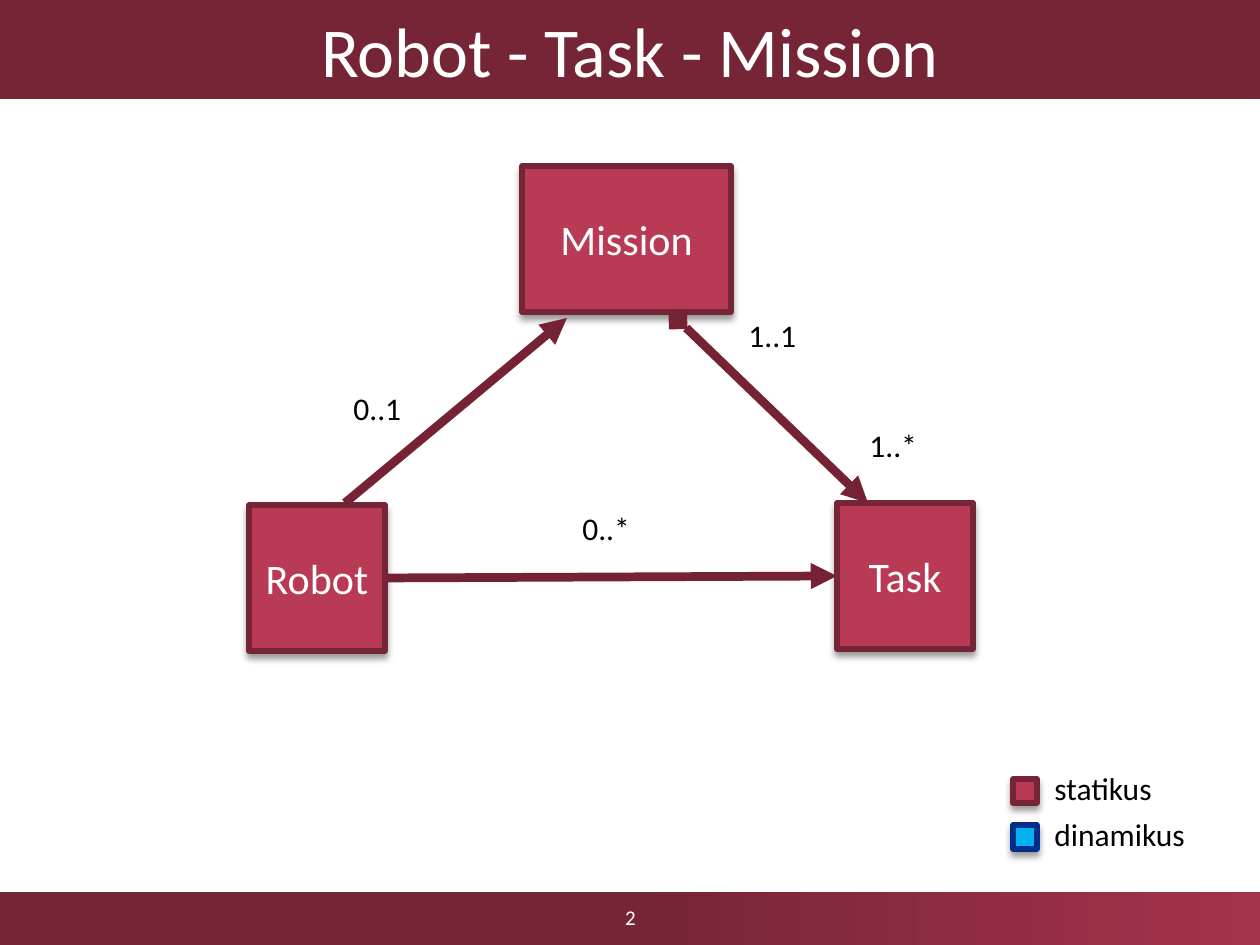
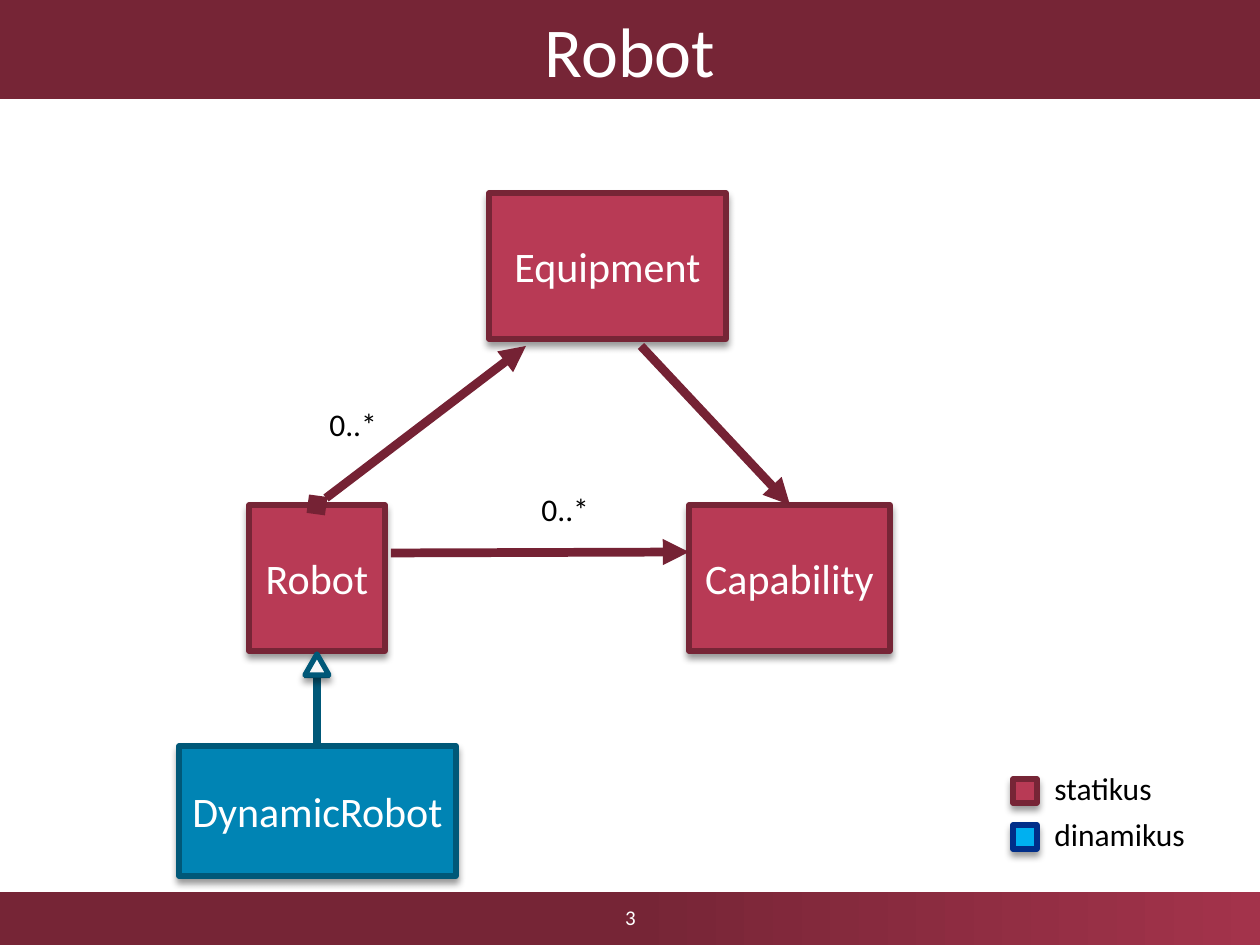
from lxml.etree import SubElement
from pptx import Presentation
from pptx.dml.color import RGBColor
from pptx.enum.shapes import MSO_CONNECTOR as Connector, MSO_SHAPE as Shape
from pptx.enum.text import MSO_ANCHOR as Anchor, PP_ALIGN as Align
from pptx.oxml.ns import qn
from pptx.util import Pt

PX = 914400 // 126
WIDTH, HEIGHT = 1260, 945
FONT = "Calibri"
COLORS = {
    "band": "762536", "band_end": "A3334B", "static": "B83A55",
    "arrow": "752234", "dynamic": "0084B4", "dynamic_edge": "005878",
    "legend_blue": "00B0F0", "legend_edge": "002E89",
    "tip": "F8F8F8", "white": "FFFFFF", "black": "000000",
}
RGB = {name: RGBColor.from_string(value) for name, value in COLORS.items()}

# What each page shows: boxes and labels as text and place,
# arrows as from, to, colour and whether a diamond starts them
PAGES = [
    {
        "title": "Robot - Task - Mission", "number": "2",
        "boxes": [
            ("Robot", (249, 505, 136, 146), "static", "band"),
            ("Mission", (522, 166, 209, 146), "static", "band"),
            ("Task", (837, 503, 136, 146), "static", "band"),
        ],
        "arrows": [
            ((345, 503), (567, 318), "arrow", False),
            ((386, 578), (837, 576), "arrow", False),
            ((678, 320), (868, 503), "arrow", True),
        ],
        "tips": [],
        "labels": [("0..1", 341, 383), ("0..*", 570, 503),
                   ("1..*", 857, 420), ("1..1", 736, 310)],
    },
    {
        "title": "Robot", "number": "3",
        "boxes": [
            ("Robot", (249, 505, 136, 146), "static", "band"),
            ("Capability", (689, 505, 201, 146), "static", "band"),
            ("Equipment", (489, 193, 237, 146), "static", "band"),
            ("DynamicRobot", (179, 746, 277, 130), "dynamic", "dynamic_edge"),
        ],
        "arrows": [
            ((317, 505), (526, 346), "arrow", True),
            ((391, 553), (689, 552), "arrow", False),
            ((317, 746), (317, 652), "dynamic_edge", False),
            ((641, 346), (790, 505), "arrow", False),
        ],
        "tips": [(305, 654, 24, 21)],
        "labels": [("0..*", 317, 399), ("0..*", 529, 484)],
    },
]


def add_block(page, place, fill=None, edge=None, shape=Shape.RECTANGLE):
    """A flat block; one with an edge also casts a soft shadow."""
    block = page.shapes.add_shape(shape, *[n * PX for n in place])
    if fill:
        block.fill.solid()
        block.fill.fore_color.rgb = RGB[fill]
    else:
        block.fill.background()
    block.line.fill.background()
    block.shadow.inherit = False
    if edge:
        block.line.color.rgb = RGB[edge]
        block.line.width = Pt(3)
        effects = block._element.spPr.find(qn("a:effectLst"))
        shadow = SubElement(effects, qn("a:outerShdw"), blurRad=str(Pt(4)),
                            dist=str(Pt(3)), dir="5400000", rotWithShape="0")
        shade = SubElement(shadow, qn("a:srgbClr"), val=COLORS["black"])
        SubElement(shade, qn("a:alpha"), val="40000")
    return block


def write(box, text, size, color="white", align=Align.CENTER, wrap=True):
    frame = box.text_frame
    frame.word_wrap = wrap
    frame.vertical_anchor = Anchor.MIDDLE
    para = frame.paragraphs[0]
    para.alignment = align
    span = para.add_run()
    span.text = text
    span.font.name = FONT
    span.font.size = Pt(size)
    span.font.color.rgb = RGB[color]


deck = Presentation()
deck.slide_width, deck.slide_height = WIDTH * PX, HEIGHT * PX

for content in PAGES:
    page = deck.slides.add_slide(deck.slide_layouts[6])

    # Footer band, solid up to its middle
    footer = add_block(page, (0, 892, WIDTH, 53), "band")
    footer.fill.gradient()
    footer.fill.gradient_angle = 0
    for stop, position, color in zip(footer.fill.gradient_stops,
                                     (0.5, 1), ("band", "band_end")):
        stop.position = position
        stop.color.rgb = RGB[color]

    # Legend
    legend = [("statikus", "static", "band"),
              ("dinamikus", "legend_blue", "legend_edge")]
    for row, (text, fill, edge) in enumerate(legend):
        top = 779 + 46 * row
        add_block(page, (1013, top, 24, 24), fill, edge)
        box = page.shapes.add_textbox(1042 * PX, (top - 16) * PX,
                                      170 * PX, 50 * PX)
        write(box, text, 18, "black", Align.LEFT)

    # Title band and page number
    write(add_block(page, (0, 0, WIDTH, 99), "band"), content["title"], 40)
    write(add_block(page, (489, 892, 283, 50)), content["number"], 12)

    # Class boxes
    for text, place, fill, edge in content["boxes"]:
        write(add_block(page, place, fill, edge), text, 24, wrap=False)

    # Arrows
    for start, end, color, diamond in content["arrows"]:
        arrow = page.shapes.add_connector(
            Connector.STRAIGHT, *[n * PX for n in start + end])
        arrow.line.color.rgb = RGB[color]
        arrow.line.width = Pt(5)
        line = arrow.line._get_or_add_ln()
        if diamond:
            SubElement(line, qn("a:headEnd"), type="diamond")
        SubElement(line, qn("a:tailEnd"), type="triangle")
        SubElement(arrow._element.spPr, qn("a:effectLst"))

    # Hollow inheritance tips
    for place in content["tips"]:
        add_block(page, place, "tip", "dynamic_edge",
                  Shape.ISOSCELES_TRIANGLE)

    # Multiplicities
    for text, left, top in content["labels"]:
        box = page.shapes.add_textbox(left * PX, top * PX, 90 * PX, 50 * PX)
        write(box, text, 18, "black", Align.LEFT)

deck.save("out.pptx")
